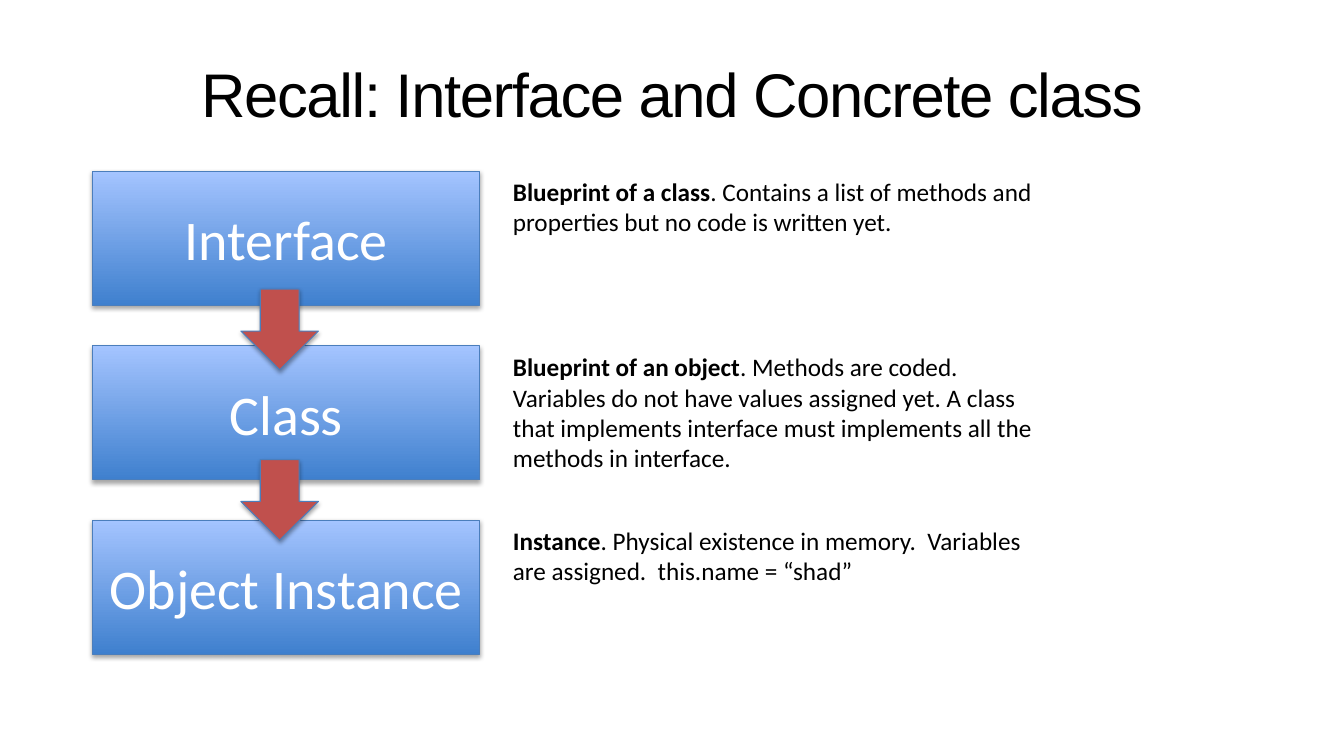
from lxml import etree
from pptx import Presentation
from pptx.dml.color import RGBColor
from pptx.enum.shapes import MSO_SHAPE
from pptx.enum.text import MSO_ANCHOR, PP_ALIGN
from pptx.oxml.ns import qn
from pptx.util import Pt

RECT, ARROW = MSO_SHAPE.RECTANGLE, MSO_SHAPE.DOWN_ARROW
MIDDLE, CENTER, LEFT = MSO_ANCHOR.MIDDLE, PP_ALIGN.CENTER, PP_ALIGN.LEFT

TITLE = "Recall: Interface and Concrete class"
# box label, bold start of note, rest of note, note top, note height
STEPS = [
    ("Interface", "Blueprint of a class",
     ". Contains a list of methods and properties but no code is written yet.",
     122.4, 51),
    ("Class", "Blueprint of an object",
     ". Methods are coded. Variables do not have values assigned yet. "
     "A class that implements interface must implements all the methods in interface.",
     247.7, 138),
    ("Object Instance", "Instance",
     ". Physical existence in memory.  Variables are assigned.  this.name = “shad”",
     371.5, 51),
]
BLACK, WHITE, EDGE, RED = "000000", "FFFFFF", "4B7EBC", "C0504D"
BLUES = ("3F80CE", "A4C4FF")

BOX_X, BOX_Y, BOX_W, BOX_H, BOX_STEP = 66.24, 122.4, 276.5, 95.8, 124.6
NOTE_X, NOTE_W = 359.3, 396.7
ARROW_X, ARROW_Y, ARROW_W, ARROW_H, ARROW_STEP = 172.1, 206.6, 55.4, 57.6, 121.7


def color(code):
    return RGBColor.from_string(code)


def write(shape, parts, size, font, code, align):
    """Fill the one paragraph of a shape with (text, bold) parts."""
    frame = shape.text_frame
    frame.word_wrap = True
    par = frame.paragraphs[0]
    par.alignment = align
    par.font.size, par.font.name = Pt(size), font
    par.font.color.rgb = color(code)
    for text, bold in parts:
        run = par.add_run()
        run.text, run.font.bold = text, bold
    return frame


def add_block(kind, *place):
    """Add an outlined shape with a soft shadow below it."""
    shape = slide.shapes.add_shape(kind, *map(Pt, place))
    shape.line.color.rgb = color(EDGE)
    shape.line.width = Pt(0.75)
    shape.shadow.inherit = False
    effects = shape._element.spPr.find(qn("a:effectLst"))
    shade = etree.SubElement(effects, qn("a:outerShdw"), blurRad=str(Pt(3.1)),
                             dist=str(Pt(1.8)), dir="5400000", rotWithShape="0")
    tone = etree.SubElement(shade, qn("a:srgbClr"), val=BLACK)
    etree.SubElement(tone, qn("a:alpha"), val="35000")
    return shape


def add_text(*place):
    return slide.shapes.add_textbox(*map(Pt, place))


deck = Presentation()
deck.slide_width, deck.slide_height = Pt(960), Pt(540)
slide = deck.slides.add_slide(deck.slide_layouts[6])

frame = write(add_text(48, 21.6, 864, 90), [(TITLE, False)], 44, "Arial", BLACK, CENTER)
frame.vertical_anchor = MIDDLE
frame.paragraphs[0].runs[0].font._element.set("spc", "-100")

for i, (label, *_) in enumerate(STEPS):
    box = add_block(RECT, BOX_X, BOX_Y + i * BOX_STEP, BOX_W, BOX_H)
    box.fill.gradient()
    box.fill.gradient_angle = 90
    for stop, code, spot in zip(box.fill.gradient_stops, BLUES, (0, 1)):
        stop.color.rgb, stop.position = color(code), spot
    write(box, [(label, False)], 40, "Calibri", WHITE, CENTER).vertical_anchor = MIDDLE

for _, lead, rest, top, height in STEPS:
    note = add_text(NOTE_X, top, NOTE_W, height)
    write(note, [(lead, True), (rest, False)], 18, "Calibri", BLACK, LEFT)

for i in range(len(STEPS) - 1):
    arrow = add_block(ARROW, ARROW_X, ARROW_Y + i * ARROW_STEP, ARROW_W, ARROW_H)
    arrow.fill.solid()
    arrow.fill.fore_color.rgb = color(RED)

deck.save("out.pptx")
